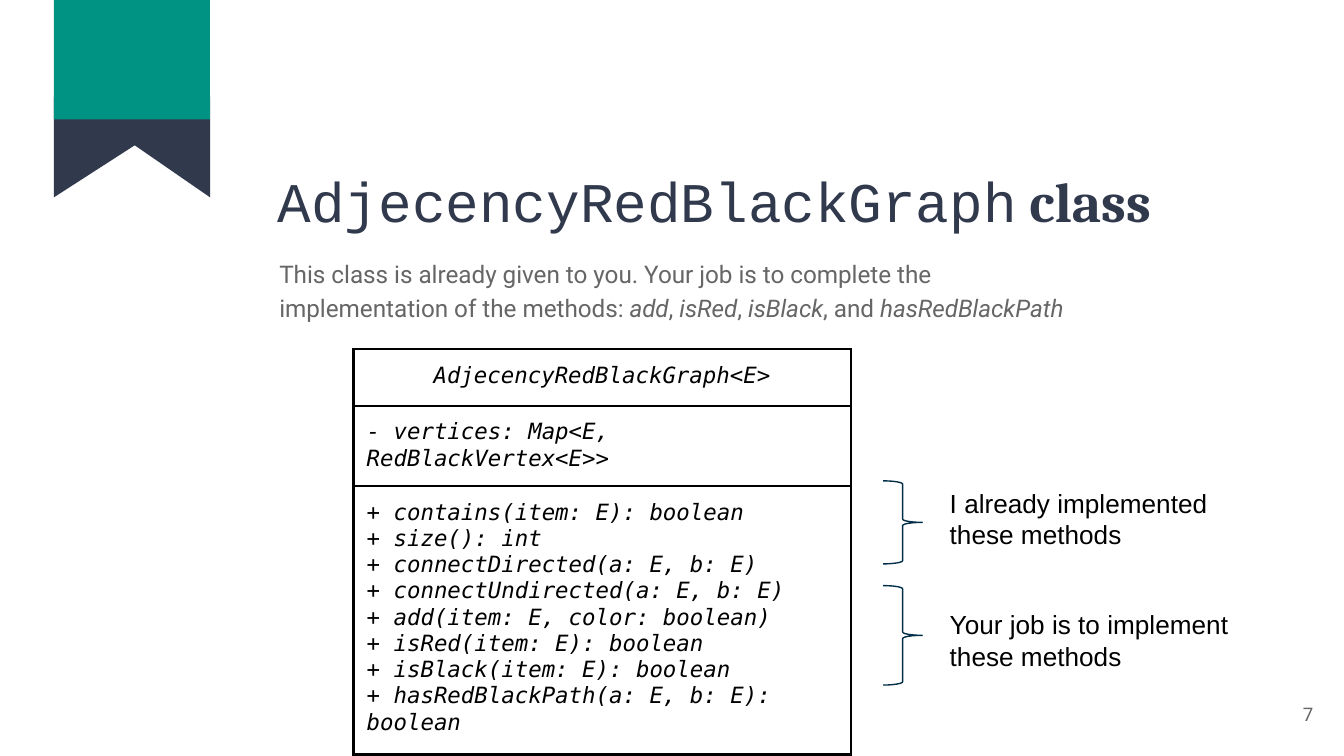
from dataclasses import dataclass
from typing import NamedTuple

from lxml.etree import SubElement
from pptx import Presentation
from pptx.dml.color import RGBColor as Rgb
from pptx.enum.shapes import MSO_SHAPE as Shape
from pptx.enum.text import MSO_ANCHOR as Anchor, PP_ALIGN as Align
from pptx.oxml.ns import qn
from pptx.util import Cm, Pt


@dataclass(frozen=True)
class Theme:
    navy: str = "31394D"
    teal: str = "009384"
    grey: str = "666666"
    black: str = "000000"
    brace: str = "002E48"
    title_size: float = 30
    note_size: float = 14
    body_size: float = 13
    code_size: float = 12
    number_size: float = 10


THEME = Theme()


class Box(NamedTuple):
    """Left, top, width and height in centimetres."""
    left: float
    top: float
    width: float
    height: float

    def lengths(self) -> list:
        return [Cm(value) for value in self]


class Style(NamedTuple):
    font: str
    size: float
    color: str


class Span(NamedTuple):
    text: str
    style: Style
    bold: bool = False
    italic: bool = False


class Group(NamedTuple):
    """A brace beside some methods, and the note that explains it."""
    brace_top: float
    brace_height: float
    note_top: float
    note: str


TITLE = Style("Courier New", THEME.title_size, THEME.navy)
TITLE_WORD = TITLE._replace(font="Cambria")
BODY = Style("Roboto", THEME.body_size, THEME.grey)
NUMBER = BODY._replace(size=THEME.number_size)
CODE = Style("DejaVu Sans Mono", THEME.code_size, THEME.black)
NOTE = Style("Arial", THEME.note_size, THEME.black)

INSET = Cm(0.25)
FRAME_INSETS = {f"margin_{side}": INSET for side in ("left", "top", "right", "bottom")}

RIBBON = Box(1.02, 0, 2.95, 2.26)
RIBBON_TAILS = [
    (Box(1.02, 1.83, 2.95, 1.9), True),
    (Box(1.22, 1.83, 2.75, 1.9), False),
]

INTRO = [
    Span("This class is already given to you. Your job is to complete the "
         "implementation of the methods: ", BODY),
    Span("add", BODY, italic=True),
    Span(", ", BODY),
    Span("isRed", BODY, italic=True),
    Span(", ", BODY),
    Span("isBlack", BODY, italic=True),
    Span(", and ", BODY),
    Span("hasRedBlackPath", BODY, italic=True),
]

CLASS_BOX = Box(6.68, 6.6, 9.4, 3.21)
CLASS_ROWS = [
    (Align.CENTER, ["AdjecencyRedBlackGraph<E>"]),
    (Align.LEFT, ["- vertices: Map<E, RedBlackVertex<E>>"]),
    (Align.LEFT, [
        "+ contains(item: E): boolean",
        "+ size(): int",
        "+ connectDirected(a: E, b: E)",
        "+ connectUndirected(a: E, b: E)",
        "+ add(item: E, color: boolean)",
        "+ isRed(item: E): boolean",
        "+ isBlack(item: E): boolean",
        "+ hasRedBlackPath(a: E, b: E): boolean",
    ]),
]

GROUPS = [
    Group(9.09, 1.57, 9.09, "I already implemented these methods"),
    Group(11.07, 1.88, 11.38, "Your job is to implement these methods"),
]


def set_all(target, formats: dict) -> None:
    for name, value in formats.items():
        setattr(target, name, value)


def write_spans(para, spans: list[Span], formats: dict) -> None:
    set_all(para, formats)
    for span in spans:
        run = para.add_run()
        run.text = span.text
        set_all(run.font, {"name": span.style.font, "size": Pt(span.style.size),
                           "bold": span.bold, "italic": span.italic})
        run.font.color.rgb = Rgb.from_string(span.style.color)


def add_text(page, box: Box, spans: list[Span], frame_formats: dict | None = None,
             para_formats: dict | None = None):
    """Add a wrapping one-paragraph text box and return the paragraph."""
    frame = page.shapes.add_textbox(*box.lengths()).text_frame
    set_all(frame, {"word_wrap": True, **(frame_formats or {})})
    para = frame.paragraphs[0]
    write_spans(para, spans, para_formats or {})
    return para


def add_solid(page, kind, box: Box, color: str):
    shape = page.shapes.add_shape(kind, *box.lengths())
    shape.shadow.inherit = False
    shape.fill.solid()
    shape.fill.fore_color.rgb = Rgb.from_string(color)
    shape.line.fill.background()
    return shape


def add_ribbon(page) -> None:
    for box, flipped in RIBBON_TAILS:
        tail = add_solid(page, Shape.RIGHT_TRIANGLE, box, THEME.navy)
        tail.rotation = 180
        if flipped:
            tail._element.spPr.xfrm.set("flipH", "1")
    add_solid(page, Shape.RECTANGLE, RIBBON, THEME.teal)


def add_borders(cell, color: str, width: float) -> None:
    properties = cell._tc.get_or_add_tcPr()
    for side in ("lnL", "lnR", "lnT", "lnB"):
        line = SubElement(properties, qn(f"a:{side}"), w=str(Pt(width)))
        fill = SubElement(line, qn("a:solidFill"))
        SubElement(fill, qn("a:srgbClr"), val=color)


def add_class_table(page) -> None:
    table = page.shapes.add_table(len(CLASS_ROWS), 1, *CLASS_BOX.lengths()).table
    set_all(table, {"first_row": False, "horz_banding": False})
    for index, (alignment, lines) in enumerate(CLASS_ROWS):
        cell = table.cell(index, 0)
        set_all(cell, FRAME_INSETS)
        add_borders(cell, THEME.black, 1.5)
        cell.fill.background()
        frame = cell.text_frame
        for number, text in enumerate(lines):
            para = frame.add_paragraph() if number else frame.paragraphs[0]
            write_spans(para, [Span(text, CODE, italic=True)], {"alignment": alignment})


def add_group(page, group: Group) -> None:
    box = Box(16.69, group.brace_top, 0.74, group.brace_height)
    brace = page.shapes.add_shape(Shape.RIGHT_BRACE, *box.lengths())
    brace.shadow.inherit = False
    brace.fill.background()
    brace.line.color.rgb = Rgb.from_string(THEME.brace)
    brace.line.width = Pt(0.75)
    add_text(page, Box(17.7, group.note_top, 6.58, 1.45), [Span(group.note, NOTE)])


def main() -> None:
    deck = Presentation()
    set_all(deck, {"slide_width": Cm(25.4), "slide_height": Cm(14.29)})
    page = deck.slides.add_slide(deck.slide_layouts[6])

    add_ribbon(page)
    add_text(page, Box(5, 2.9, 19, 2.36),
             [Span("AdjecencyRedBlackGraph", TITLE), Span(" class", TITLE_WORD, bold=True)],
             FRAME_INSETS)
    add_text(page, Box(23.55, 12.95, 1.52, 1.09), [Span("7", NUMBER)],
             {**FRAME_INSETS, "vertical_anchor": Anchor.MIDDLE}, {"alignment": Align.RIGHT})
    intro = add_text(page, Box(4.62, 4.57, 16.15, 2.03), INTRO,
                     FRAME_INSETS, {"line_spacing": 1.15})
    intro._p.get_or_add_pPr().set("marL", str(Cm(0.41)))
    add_class_table(page)
    for group in GROUPS:
        add_group(page, group)

    deck.save("out.pptx")


if __name__ == "__main__":
    main()
